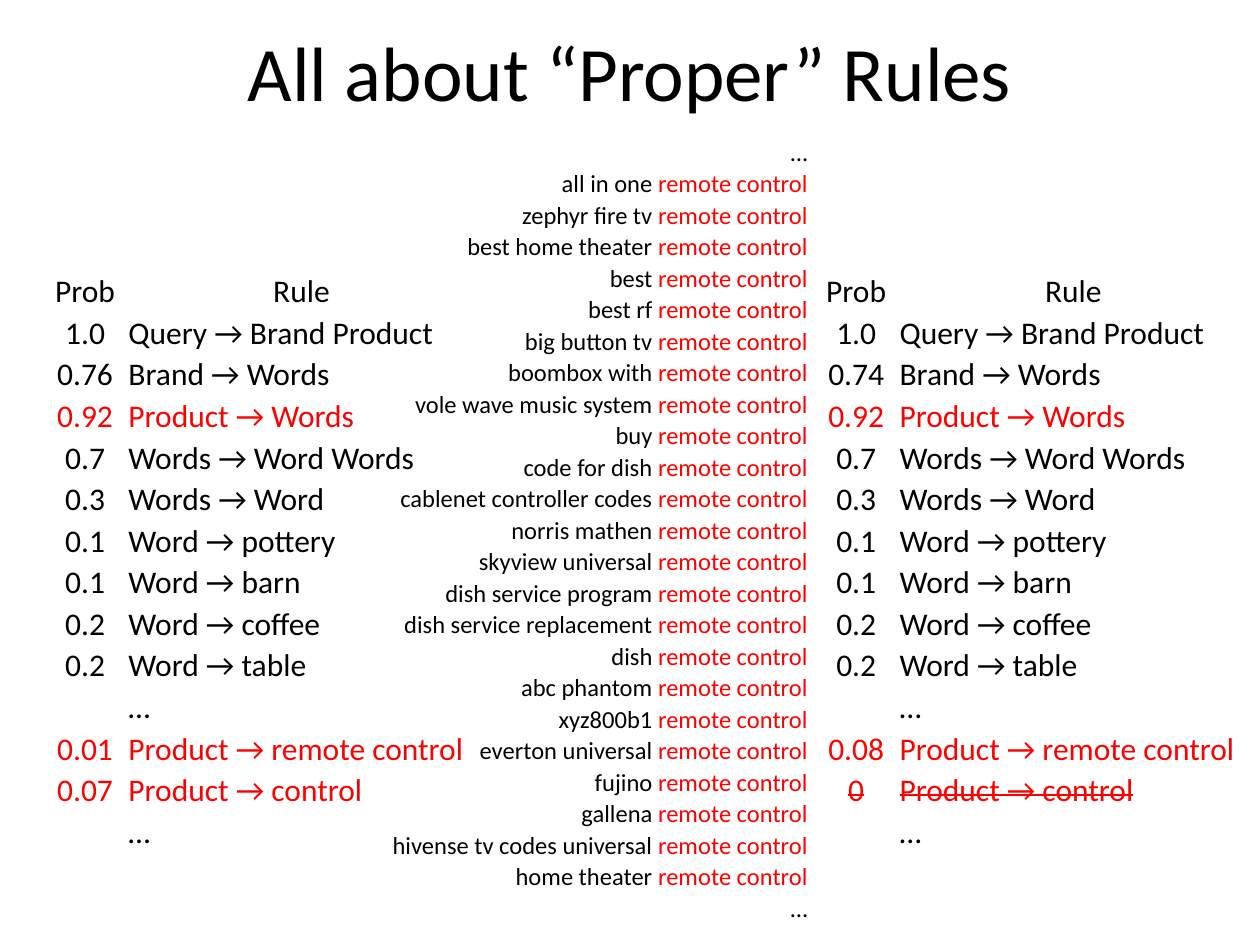
from pptx import Presentation
from pptx.dml.color import RGBColor
from pptx.enum.text import MSO_ANCHOR, PP_ALIGN
from pptx.oxml.ns import qn
from pptx.util import Inches, Pt

LEFT, CENTER, RIGHT = PP_ALIGN.LEFT, PP_ALIGN.CENTER, PP_ALIGN.RIGHT
MIDDLE, BOTTOM = MSO_ANCHOR.MIDDLE, MSO_ANCHOR.BOTTOM
FONT = "Calibri"
COLORS = {"text": "000000", "highlight": "FF0000"}
NO_GRID_STYLE = "{2D5ABB26-0587-4C30-8999-92F81FD0307C}"

TITLE = "All about “Proper” Rules"
RULES = [
    " Rule", "Query → Brand Product", "Brand → Words", "Product → Words",
    "Words → Word Words", "Words → Word", "Word → pottery", "Word → barn",
    "Word → coffee", "Word → table", "…", "Product → remote control",
    "Product → control", "…",
]
WORD_PROBS = ["0.7", "0.3", "0.1", "0.1", "0.2", "0.2", ""]
PROBS_BEFORE = ["Prob", "1.0", "0.76", "0.92", *WORD_PROBS, "0.01", "0.07", ""]
PROBS_AFTER = ["Prob", "1.0", "0.74", "0.92", *WORD_PROBS, "0.08", "0", ""]
HIGHLIGHTED_RULES = {
    "Product → Words", "Product → remote control", "Product → control",
}
PRODUCT = "remote control"
QUERY_PREFIXES = [
    "all in one", "zephyr fire tv", "best home theater", "best", "best rf",
    "big button tv", "boombox with", "vole wave music system", "buy",
    "code for dish", "cablenet controller codes", "norris mathen",
    "skyview universal", "dish service program", "dish service replacement",
    "dish", "abc phantom", "xyz800b1", "everton universal", "fujino",
    "gallena", "hivense tv codes universal", "home theater",
]


def style_font(font, size, color="text"):
    font.name = FONT
    font.size = Pt(size)
    font.color.rgb = RGBColor.from_string(COLORS[color])


def add_plain_table(slide, left, top, widths, row_count, row_height):
    table = slide.shapes.add_table(
        row_count, len(widths), Inches(left), Inches(top),
        Inches(sum(widths)), Inches(row_count * row_height),
    ).table
    table.first_row = table.horz_banding = False
    table._tbl.tblPr.find(qn("a:tableStyleId")).text = NO_GRID_STYLE
    for column, width in zip(table.columns, widths):
        column.width = Inches(width)
    for row in table.rows:
        row.height = Inches(row_height)
    return table


def format_cell(cell, margin, align, size, color="text"):
    cell.fill.background()
    cell.vertical_anchor = BOTTOM
    cell.margin_left = cell.margin_right = cell.margin_top = Inches(margin)
    cell.margin_bottom = 0
    paragraph = cell.text_frame.paragraphs[0]
    paragraph.alignment = align
    style_font(paragraph.font, size, color)
    return paragraph


def add_rule_table(slide, left, rule_width, probs):
    table = add_plain_table(
        slide, left, 2.14, [0.65, rule_width], len(RULES), 0.33)
    for row, entry in enumerate(zip(probs, RULES)):
        prob, rule = entry
        color = "highlight" if rule in HIGHLIGHTED_RULES else "text"
        for column, wording in enumerate(entry):
            align = CENTER if row == 0 or column == 0 else LEFT
            cell = table.cell(row, column)
            paragraph = format_cell(cell, 0.02, align, 18, color)
            if not wording:
                continue
            run = paragraph.add_run()
            run.text = wording
            if prob == "0":
                run.font._element.set("strike", "sngStrike")


def add_query_table(slide):
    prefixes = ["…", *QUERY_PREFIXES, "…"]
    table = add_plain_table(slide, 3.08, 1.08, [3.34], len(prefixes), 0.25)
    for row, prefix in enumerate(prefixes):
        paragraph = format_cell(table.cell(row, 0), 0.01, RIGHT, 14)
        if prefix == "…":
            paragraph.add_run().text = prefix
            continue
        paragraph.add_run().text = prefix + " "
        product = paragraph.add_run()
        product.text = PRODUCT
        style_font(product.font, 14, "highlight")


def main():
    deck = Presentation()
    deck.slide_width, deck.slide_height = Inches(10), Inches(7.5)
    slide = deck.slides.add_slide(deck.slide_layouts[5])

    title = slide.shapes.title
    title.left, title.top = Inches(0.5), Inches(0.12)
    title.width, title.height = Inches(9), Inches(0.89)
    title.text_frame.text = TITLE
    title.text_frame.vertical_anchor = MIDDLE
    heading = title.text_frame.paragraphs[0]
    heading.alignment = CENTER
    style_font(heading.font, 44)

    add_rule_table(slide, 6.47, 2.74, PROBS_AFTER)
    add_rule_table(slide, 0.35, 2.73, PROBS_BEFORE)
    add_query_table(slide)
    deck.save("out.pptx")


if __name__ == "__main__":
    main()
